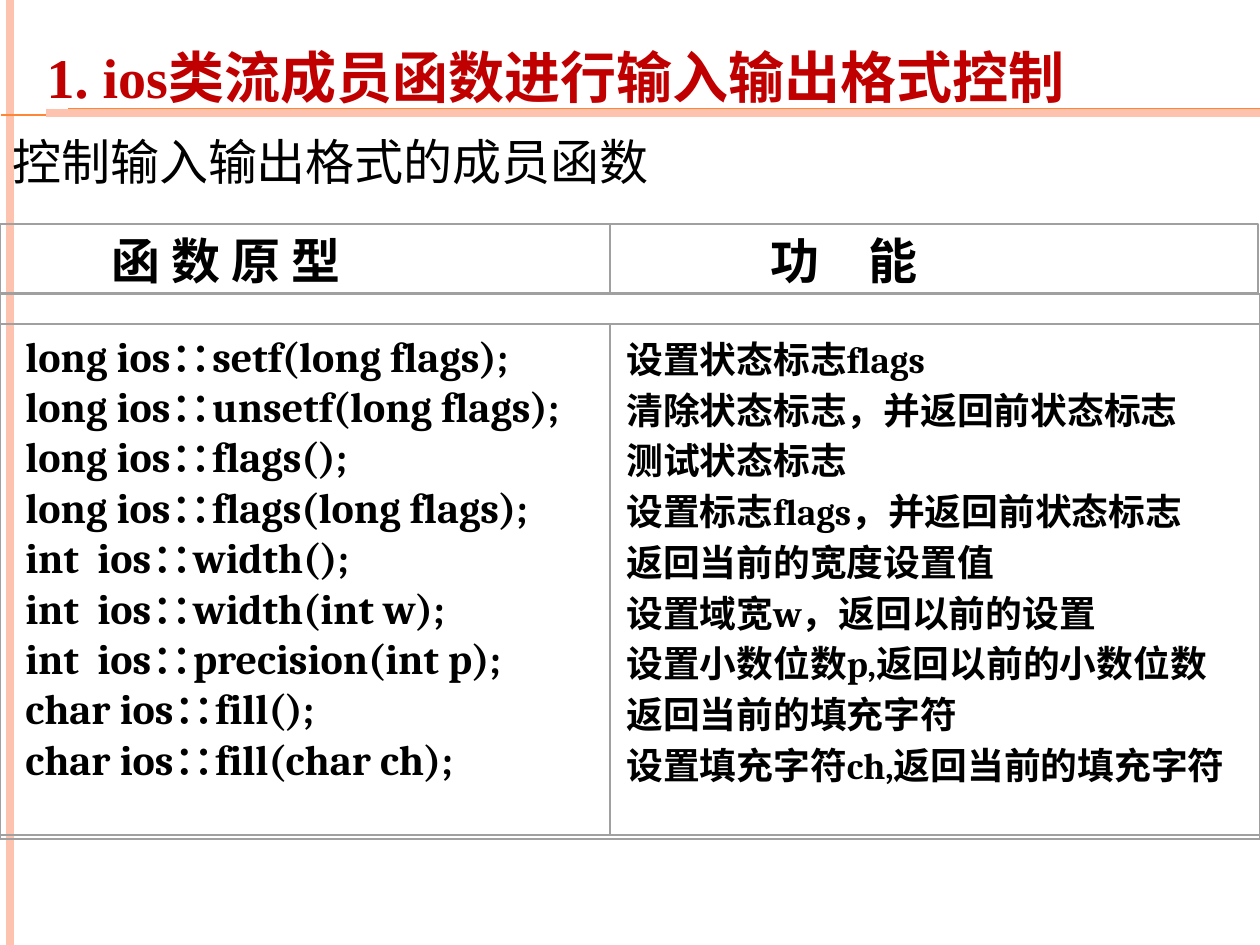
from dataclasses import dataclass

from lxml import etree
from pptx import Presentation
from pptx import util as u
from pptx.dml.color import RGBColor
from pptx.enum import shapes, text
from pptx.oxml.ns import qn

EMU_PER_PX = 914400 / 126


@dataclass(frozen=True)
class Theme:
    body_font: str = "Cambria"
    title_font: str = "Times New Roman"
    ink: str = "000000"
    title: str = "C00000"
    accent: str = "FE8637"
    band: str = "FEC3AE"
    grid: str = "A0A0A0"
    title_pt: int = 32
    head_pt: int = 28
    code_pt: int = 24
    note_pt: int = 21


T = Theme()

FUNCTIONS = [
    ("long ios∷setf(long flags);", "设置状态标志flags"),
    ("long ios∷unsetf(long flags);", "清除状态标志，并返回前状态标志"),
    ("long ios∷flags();", "测试状态标志"),
    ("long ios∷flags(long flags);", "设置标志flags，并返回前状态标志"),
    ("int  ios∷width();", "返回当前的宽度设置值"),
    ("int  ios∷width(int w);", "设置域宽w，返回以前的设置"),
    ("int  ios∷precision(int p);", "设置小数位数p,返回以前的小数位数"),
    ("char ios∷fill();", "返回当前的填充字符"),
    ("char ios∷fill(char ch);", "设置填充字符ch,返回当前的填充字符"),
]


def px(n):
    return u.Emu(round(n * EMU_PER_PX))


def add_line(s, x1, y1, x2, y2, color, pt):
    ln = s.shapes.add_connector(shapes.MSO_CONNECTOR.STRAIGHT,
                                px(x1), px(y1), px(x2), px(y2))
    ln.line.color.rgb = RGBColor.from_string(color)
    ln.line.width = u.Pt(pt)
    etree.SubElement(ln._element.spPr, qn("a:effectLst"))


def add_frame(s, x, y, w, h, pt=0):
    sp = s.shapes.add_shape(shapes.MSO_SHAPE.RECTANGLE, px(x), px(y), px(w), px(h))
    sp.shadow.inherit = False
    sp.fill.background()
    sp.line.color.rgb = RGBColor.from_string(T.grid)
    sp.line.width = u.Pt(pt)


def write(tf, lines, size, font=T.body_font, color=T.ink, bold=True, indent=0, spacing=None):
    tf.word_wrap = True
    for i, line in enumerate(lines):
        p = tf.add_paragraph() if i else tf.paragraphs[0]
        p.alignment = text.PP_ALIGN.LEFT
        if indent:
            p._p.get_or_add_pPr().set("marL", str(px(indent)))
        if spacing:
            p.line_spacing = spacing
        r = p.add_run()
        r.text = line
        r.font.name, r.font.size, r.font.bold = font, u.Pt(size), bold
        r.font.color.rgb = RGBColor.from_string(color)


def add_text(s, x, y, w, h, lines, size, **style):
    box = s.shapes.add_textbox(px(x), px(y), px(w), px(h))
    write(box.text_frame, lines, size, **style)


def add_cell(s, column, row, lines, size, **style):
    (x, w), (y, h) = column, row
    pad = 4
    add_text(s, x + pad, y, w - 2 * pad, h, lines, size, **style)
    add_frame(s, x, y, w, h)


def set_title(s, x, y, w, h, line):
    sp = s.shapes.title
    sp.left, sp.top, sp.width, sp.height = px(x), px(y), px(w), px(h)
    tf = sp.text_frame
    tf.auto_size = text.MSO_AUTO_SIZE.NONE
    tf.vertical_anchor = text.MSO_ANCHOR.BOTTOM
    write(tf, [line], T.title_pt, font=T.title_font, color=T.title)


def main():
    prs = Presentation()
    prs.slide_width, prs.slide_height = px(1260), px(945)
    s = prs.slides.add_slide(prs.slide_layouts[5])

    # Side band and rules under the title
    add_line(s, 10, 0, 10, 945, T.band, 4.5)
    for x, y, color, pt in [(1, 115, T.accent, 0.75), (24, 115, T.accent, 0.75),
                            (68, 109, T.accent, 0.75), (46, 113, T.band, 4.5)]:
        add_line(s, x, y, 1260, y, color, pt)

    # Title and subtitle
    set_title(s, 34, 26, 1144, 90, "1. ios类流成员函数进行输入输出格式控制")
    add_text(s, 0, 125, 1260, 72, ["控制输入输出格式的成员函数"], T.head_pt, bold=False)

    # Framed grid: heading row, then one tall row of functions
    prototype, head, body = (0, 610), (224, 69), (324, 511)
    prototypes, purposes = zip(*FUNCTIONS)
    add_cell(s, prototype, head, ["函 数 原 型"], T.head_pt, indent=95)
    add_cell(s, (610, 648), head, ["功　能"], T.head_pt, indent=144)
    add_cell(s, prototype, body, prototypes, T.code_pt, indent=9)
    add_cell(s, (610, 650), body, purposes, T.note_pt, spacing=1.15)
    add_frame(s, 0, 294, 1260, 545, 0.75)

    prs.save("out.pptx")


if __name__ == "__main__":
    main()
